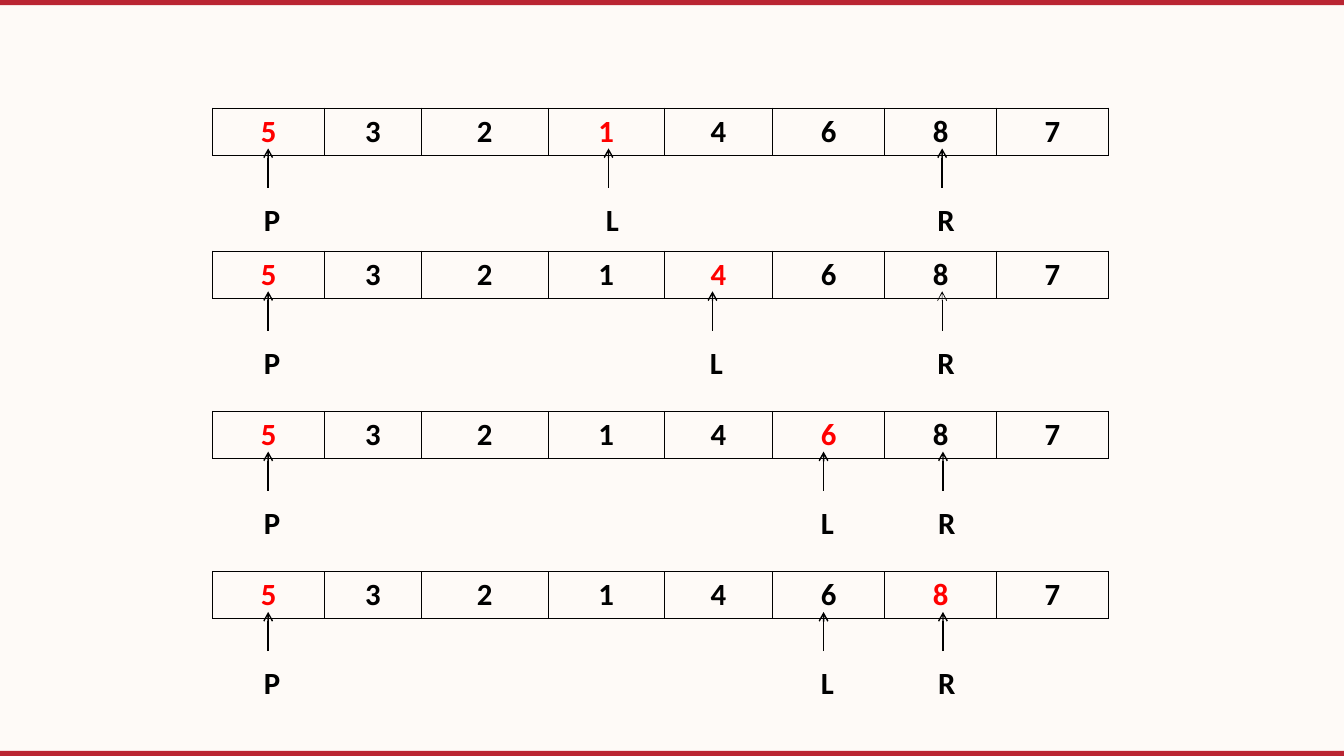
import pptx
import pptx.dml.color
import pptx.enum.shapes
import pptx.enum.text
import pptx.oxml.ns
import pptx.util
from lxml import etree
from pptx.util import Cm

NUMBERS = [5, 3, 2, 1, 4, 6, 8, 7]
# Each step: top of the array, red columns, and (label, arrow x, arrow width in points)
STEPS = [
    (2.72, {0, 3}, [("L", 15.34, 1), ("R", 23.75, 1), ("P", 6.76, 1)]),
    (6.32, {0, 4}, [("L", 17.96, 1), ("R", 23.75, 0.5), ("P", 6.76, 1)]),
    (10.36, {0, 5}, [("L", 20.76, 1), ("R", 23.77, 1), ("P", 6.76, 1)]),
    (14.4, {0, 6}, [("L", 20.76, 1), ("R", 23.77, 1), ("P", 6.76, 1)]),
]
COLORS = {"back": "FEFAF7", "bar": "BA2532", "ink": "000000", "mark": "FF0000"}
WIDTH, HEIGHT, BAR = 33.88, 19.05, 0.13
LEFT, ROW = 5.36, 1.19
COLUMNS = [2.82, 2.44, 3.2, 2.92, 2.74, 2.82, 2.82, 2.82]
TAIL, TIP, LABEL = 2.01, 1.02, 2.21  # distances below the top of the array
SHIFT, SPAN = 0.79, 1.78  # label: left of its arrow, and width


def color(name):
    return pptx.dml.color.RGBColor.from_string(COLORS[name])


def add_xml(parent, tag, **attrs):
    return etree.SubElement(parent, pptx.oxml.ns.qn(tag), attrs)


def write(frame, text, name):
    para = frame.paragraphs[0]
    para.text = text
    para.alignment = pptx.enum.text.PP_ALIGN.CENTER
    font = para.font
    font.name, font.size, font.bold = "Calibri", pptx.util.Pt(22), True
    font.color.rgb = color(name)


def add_bar(slide, top):
    kind = pptx.enum.shapes.MSO_SHAPE.RECTANGLE
    bar = slide.shapes.add_shape(kind, 0, Cm(top), Cm(WIDTH), Cm(BAR))
    bar.shadow.inherit = False
    bar.fill.solid()
    bar.fill.fore_color.rgb = color("bar")
    bar.line.fill.background()


def add_pointer(slide, top, label, x, weight):
    """Add a label with an arrow up to the array."""
    box = slide.shapes.add_textbox(Cm(x - SHIFT), Cm(top + LABEL), Cm(SPAN), Cm(ROW))
    box.text_frame.word_wrap = True
    write(box.text_frame, label, "ink")
    kind = pptx.enum.shapes.MSO_CONNECTOR.STRAIGHT
    arrow = slide.shapes.add_connector(kind, Cm(x), Cm(top + TAIL), Cm(x), Cm(top + TIP))
    arrow.line.color.rgb = color("ink")
    arrow.line.width = pptx.util.Pt(weight)
    add_xml(arrow.line._get_or_add_ln(), "a:tailEnd", type="arrow")
    add_xml(arrow._element.spPr, "a:effectLst")


def add_borders(cell):
    props = cell._tc.get_or_add_tcPr()
    for side in ("a:lnL", "a:lnR", "a:lnT", "a:lnB"):
        line = add_xml(props, side, w=str(pptx.util.Pt(0.45)))
        add_xml(add_xml(line, "a:solidFill"), "a:srgbClr", val=COLORS["ink"])


def add_array(slide, top, marked):
    frame = slide.shapes.add_table(
        1, len(NUMBERS), Cm(LEFT), Cm(top), Cm(sum(COLUMNS)), Cm(ROW))
    table = frame.table
    table.first_row = table.horz_banding = False
    for i, (number, width) in enumerate(zip(NUMBERS, COLUMNS)):
        table.columns[i].width = Cm(width)
        cell = table.cell(0, i)
        write(cell.text_frame, str(number), "mark" if i in marked else "ink")
        add_borders(cell)
        cell.fill.background()


def main():
    deck = pptx.Presentation()
    deck.slide_width, deck.slide_height = Cm(WIDTH), Cm(HEIGHT)
    slide = deck.slides.add_slide(deck.slide_layouts[6])
    slide.background.fill.solid()
    slide.background.fill.fore_color.rgb = color("back")
    for top in (HEIGHT - BAR, 0):
        add_bar(slide, top)
    for top, marked, pointers in STEPS:
        for label, x, weight in pointers:
            add_pointer(slide, top, label, x, weight)
        add_array(slide, top, marked)
    deck.save("out.pptx")


if __name__ == "__main__":
    main()
